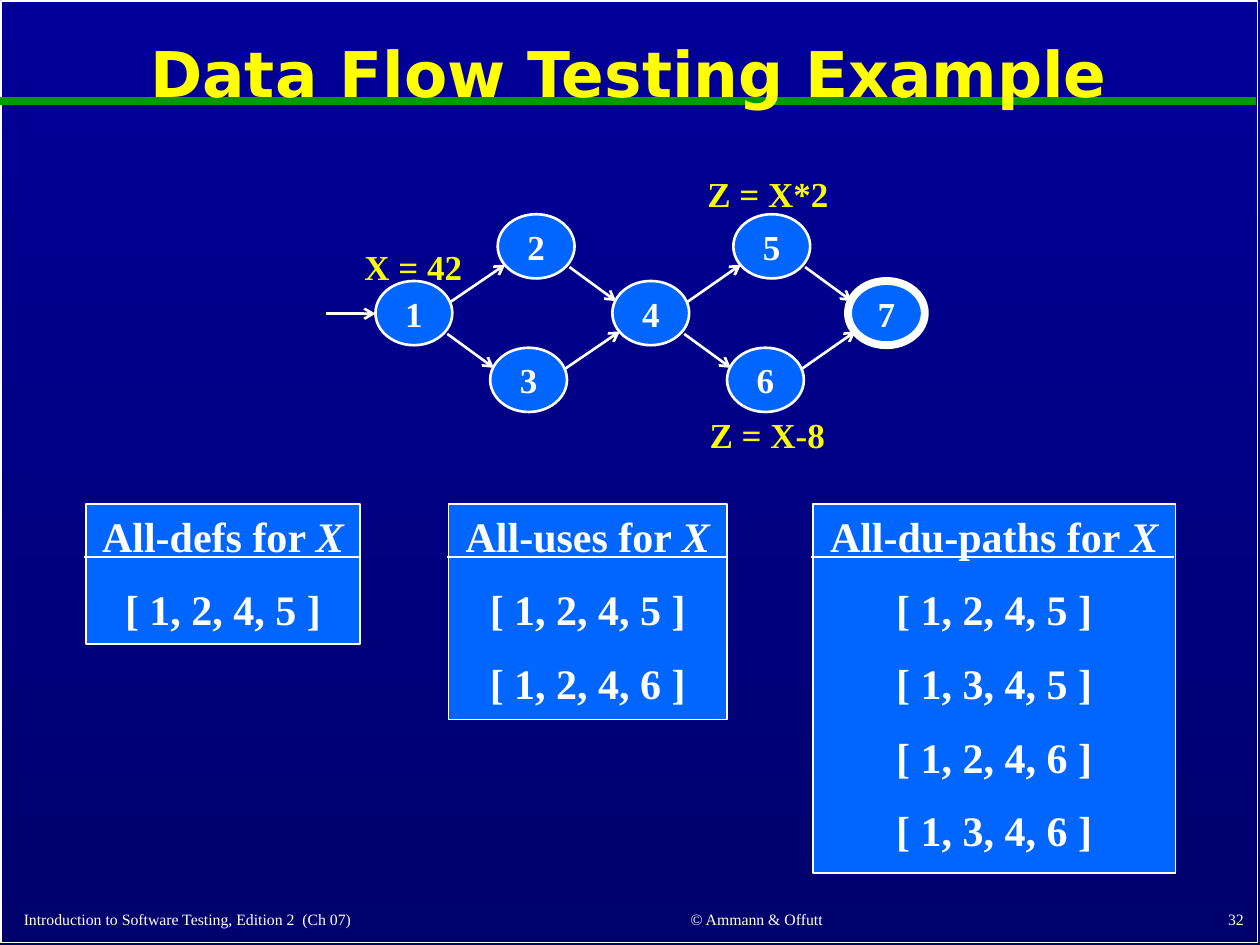
from pptx import Presentation, util as u
from pptx.dml.color import RGBColor
from pptx.enum import shapes, text
from pptx.oxml.ns import qn
from lxml import etree

# Content
TITLE = "Data Flow Testing Example"
FOOTERS = [  # text, left, width, alignment
    ("Introduction to Software Testing, Edition 2  (Ch 07)", 0.09, 4.12, "LEFT"),
    ("© Ammann & Offutt", 4.42, 3.17, "CENTER"),
    ("32", 7.89, 2.08, "RIGHT"),
]
ROWS = {"upper": 1.7, "middle": 2.23, "lower": 2.76}
NODES = {  # number: left, row
    1: (2.98, "middle"), 2: (3.95, "upper"), 3: (3.89, "lower"),
    4: (4.86, "middle"), 5: (5.82, "upper"), 6: (5.77, "lower"),
    7: (6.73, "middle"),
}
FINAL_NODE = 7
EDGES = [(1, 2), (1, 3), (2, 4), (3, 4), (4, 5), (4, 6), (5, 7), (6, 7)]
LABELS = [  # text, left, top, width
    ("X = 42", 2.72, 1.9, 1.12),
    ("Z = X-8", 5.53, 3.23, 1.12),
    ("Z = X*2", 5.44, 1.32, 1.31),
]
CRITERIA = [  # heading, left, width, height, test paths
    ("All-defs for ", 0.68, 2.18, 1.11, ["1, 2, 4, 5"]),
    ("All-uses for ", 3.56, 2.21, 1.71, ["1, 2, 4, 5", "1, 2, 4, 6"]),
    ("All-du-paths for ", 6.45, 2.88, 2.93,
     ["1, 2, 4, 5", "1, 3, 4, 5", "1, 2, 4, 6", "1, 3, 4, 6"]),
]

# Style
COLORS = {"top": "000099", "bottom": "00006D", "rule": "009900", "fill": "0066FF",
          "white": "FFFFFF", "title": "FFFF00", "label": "FAFD00"}
SERIF = "Times New Roman"
NODE_W, NODE_H = 0.61, 0.51
BOX_TOP, RULE_Y = 4, 4.42
# Edge ends, measured from the top left of the node
RISING = ((0.59, 0.17), (0.06, 0.4))
FALLING = ((0.57, 0.42), (0.03, 0.16))


def rgb(name):
    return RGBColor.from_string(COLORS[name])


def style_run(r, size, color="white", bold=True, font=SERIF):
    r.font.size, r.font.bold, r.font.name = u.Pt(size), bold, font
    r.font.color.rgb = rgb(color)


def add_box(s, kind, left, top, width, height, weight, fill="fill"):
    sp = s.shapes.add_shape(kind, *map(u.Inches, (left, top, width, height)))
    sp.shadow.inherit = False
    if fill:
        sp.fill.solid()
        sp.fill.fore_color.rgb = rgb(fill)
    else:
        sp.fill.background()
    sp.line.color.rgb = rgb("white")
    sp.line.width = u.Pt(weight)
    return sp


def add_line(s, start, end, color="white", weight=1.5, arrow=False):
    c = s.shapes.add_connector(shapes.MSO_CONNECTOR.STRAIGHT,
                               *map(u.Inches, (*start, *end)))
    c.line.color.rgb = rgb(color)
    c.line.width = u.Pt(weight)
    if arrow:
        etree.SubElement(c.line._get_or_add_ln(), qn("a:tailEnd"), type="arrow")
    etree.SubElement(c._element.spPr, qn("a:effectLst"))


def add_text(s, words, left, top, width, height, align, anchor, size, color, bold):
    tf = s.shapes.add_textbox(*map(u.Inches, (left, top, width, height))).text_frame
    tf.word_wrap = True
    tf.vertical_anchor = anchor
    tf.text = words
    p = tf.paragraphs[0]
    p.alignment = align
    style_run(p.runs[0], size, color, bold)


def add_frame(s, prs):
    fill = s.background.fill
    fill.gradient()
    fill.gradient_angle = 270
    for stop, name in zip(fill.gradient_stops, ("top", "bottom")):
        stop.color.rgb = rgb(name)
    add_box(s, shapes.MSO_SHAPE.RECTANGLE, 0.01, 0.01, 9.97, 7.47, 1, fill=None)
    add_line(s, (0, 0.8), (9.97, 0.8), "rule", 4.5)
    for words, left, width, align in FOOTERS:
        add_text(s, words, left, 7.11, width, 0.31, getattr(text.PP_ALIGN, align),
                 text.MSO_ANCHOR.BOTTOM, 9, "white", False)


def add_title(s):
    sp = s.shapes.title
    sp.left, sp.top, sp.width, sp.height = map(u.Inches, (0.09, 0.11, 9.8, 1))
    tf = sp.text_frame
    tf.text = TITLE
    tf.auto_size = text.MSO_AUTO_SIZE.NONE
    tf.vertical_anchor = text.MSO_ANCHOR.MIDDLE
    p = tf.paragraphs[0]
    p.alignment = text.PP_ALIGN.CENTER
    p.line_spacing = 0.9
    style_run(p.runs[0], 36, "title", font="DejaVu Sans")
    s.shapes._spTree.append(sp._element)  # bring in front of the green rule


def add_graph(s):
    for number, (left, row) in NODES.items():
        sp = add_box(s, shapes.MSO_SHAPE.OVAL, left, ROWS[row], NODE_W, NODE_H,
                     4.5 if number == FINAL_NODE else 1.5)
        tf = sp.text_frame
        tf.margin_left = tf.margin_right = tf.margin_top = tf.margin_bottom = 0
        tf.word_wrap = False
        tf.text = str(number)
        tf.paragraphs[0].alignment = text.PP_ALIGN.CENTER
        style_run(tf.paragraphs[0].runs[0], 20)
    for edge in EDGES:
        (x1, y1), (x2, y2) = ((NODES[n][0], ROWS[NODES[n][1]]) for n in edge)
        (dx1, dy1), (dx2, dy2) = RISING if y2 < y1 else FALLING
        add_line(s, (x1 + dx1, y1 + dy1), (x2 + dx2, y2 + dy2), arrow=True)
    add_line(s, (2.59, 2.49), (2.98, 2.49), arrow=True)  # entry
    for words, left, top, width in LABELS:
        add_text(s, words, left, top, width, 0.43, text.PP_ALIGN.CENTER,
                 text.MSO_ANCHOR.TOP, 20, "label", True)


def add_criterion(s, heading, left, width, height, paths):
    sp = add_box(s, shapes.MSO_SHAPE.RECTANGLE, left, BOX_TOP, width, height, 1)
    tf = sp.text_frame
    tf.vertical_anchor = text.MSO_ANCHOR.TOP
    tf.text = heading
    tf.paragraphs[0].add_run().text = "X"
    for path in paths:
        p = tf.add_paragraph()
        p.text = f"[ {path} ]"
        p.space_before = u.Pt(13.3)
    for p in tf.paragraphs:
        p.alignment = text.PP_ALIGN.CENTER
        for r in p.runs:
            style_run(r, 24)
            r.font.italic = r.text == "X"
    add_line(s, (left - 0.01, RULE_Y), (left + width - 0.01, RULE_Y))


def main():
    prs = Presentation()
    prs.slide_width, prs.slide_height = u.Inches(10), u.Inches(7.5)
    s = prs.slides.add_slide(prs.slide_layouts[5])
    add_frame(s, prs)
    add_title(s)
    add_graph(s)
    for criterion in CRITERIA:
        add_criterion(s, *criterion)
    prs.save("out.pptx")


if __name__ == "__main__":
    main()
